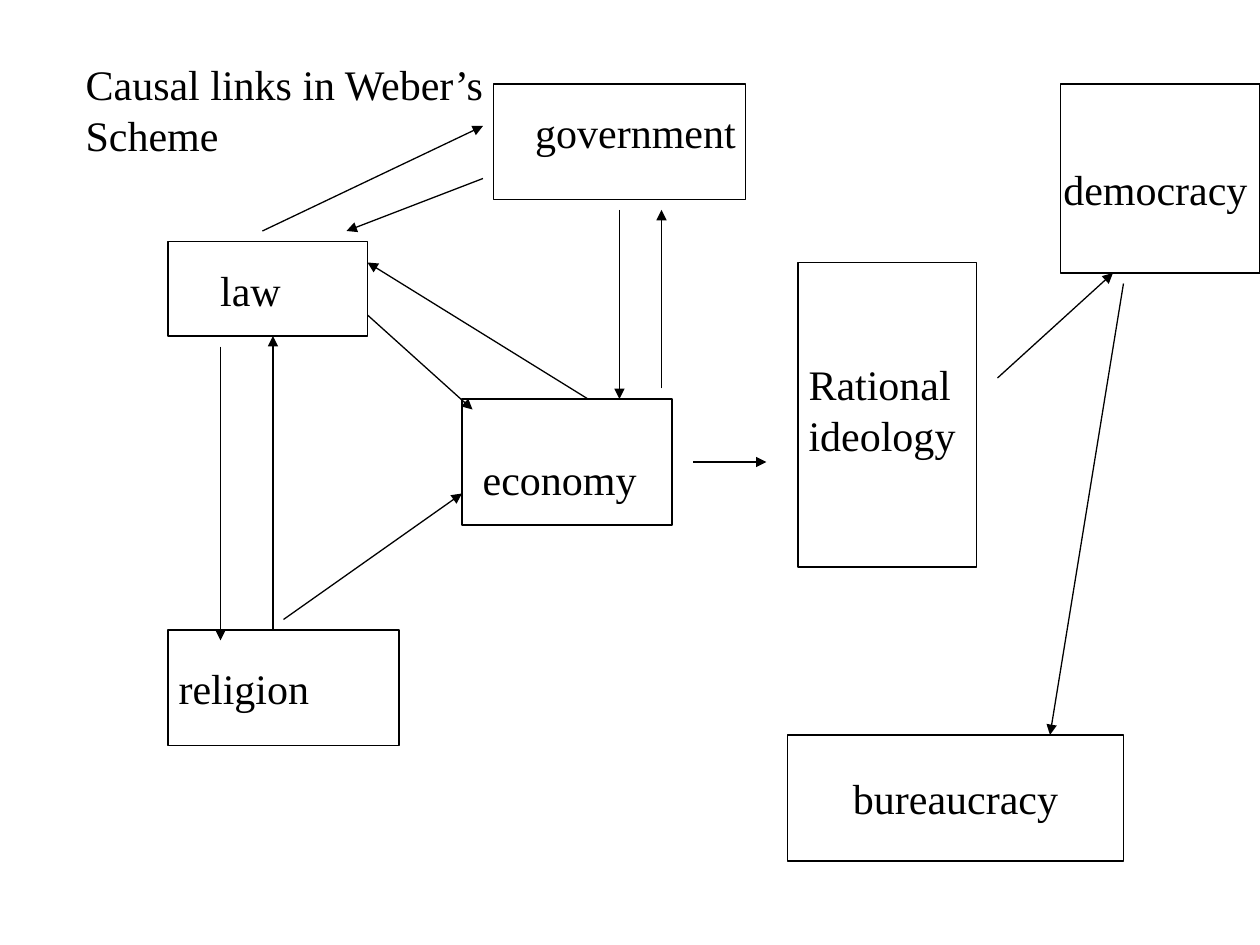
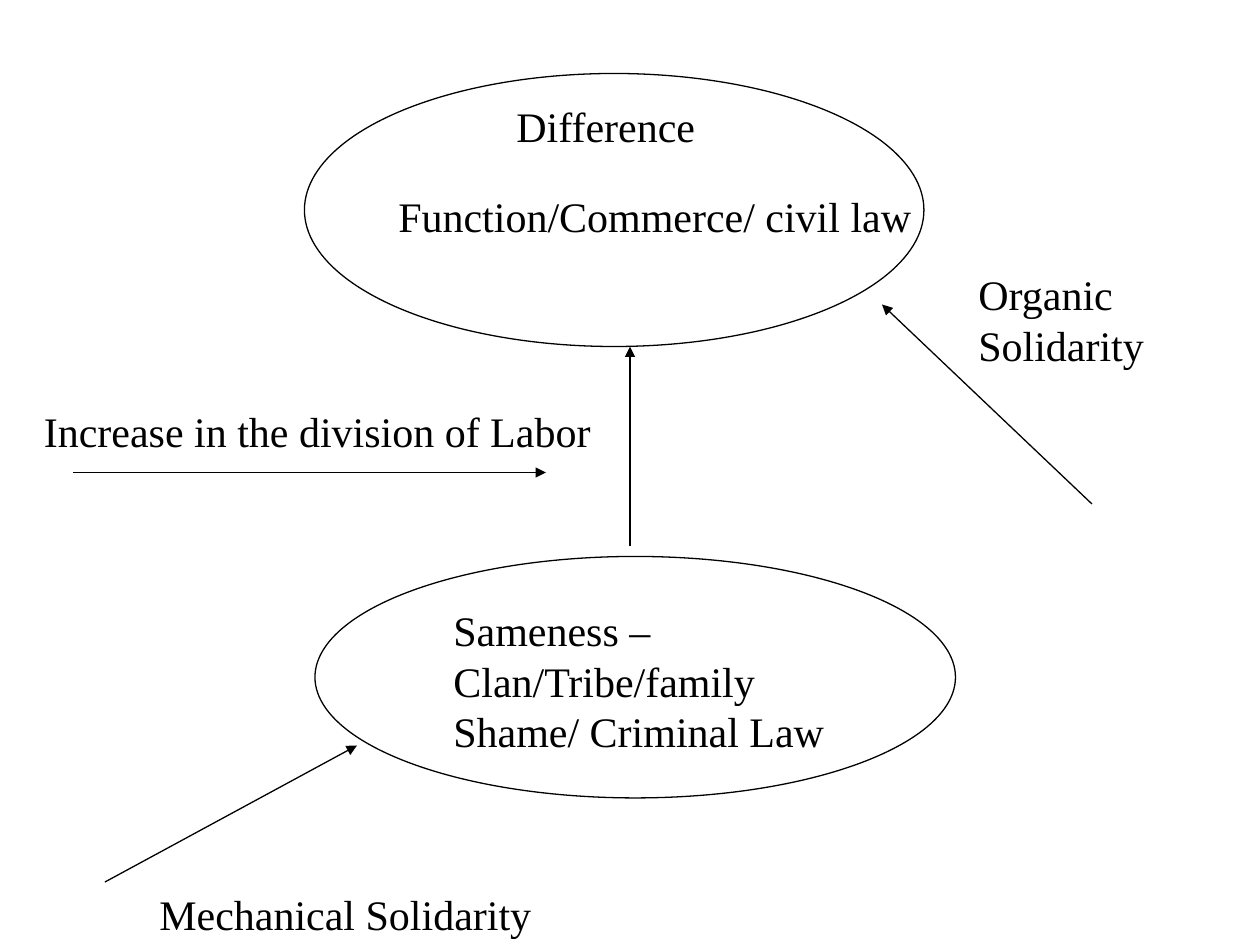
import dataclasses

import lxml.etree
import pptx
import pptx.dml.color
import pptx.enum.shapes
import pptx.enum.text
import pptx.oxml.ns
import pptx.util

Pt = pptx.util.Pt
Shape = pptx.enum.shapes.MSO_SHAPE
Align = pptx.enum.text.PP_ALIGN
Anchor = pptx.enum.text.MSO_ANCHOR
AutoSize = pptx.enum.text.MSO_AUTO_SIZE


@dataclasses.dataclass(frozen=True)
class Theme:
    ink: pptx.dml.color.RGBColor = pptx.dml.color.RGBColor(0, 0, 0)
    font: str = "Times New Roman"
    text_size: float = 24
    line_width: float = 0.75


THEME = Theme()
TITLE_ONLY, BLANK = 5, 6  # layouts of the default template

# Weber's scheme: left, top, width, height in points
FACTOR_BOXES = {
    "law": (96, 138, 114, 54),
    "government": (282, 48, 144, 66),
    "economy": (264, 228, 120, 72),
    "ideology": (456, 150, 102, 174),
    "religion": (96, 360, 132, 66),
    "bureaucracy": (450, 420, 192, 72),
    "democracy": (606, 48, 114, 108),
}
FACTOR_LABELS = [
    ("law", (118.75, 147.5, 50, 36)),
    ("religion", (95, 375.25, 91, 36)),
    ("economy", (268.75, 255.5, 104, 36)),
    ("government", (298.75, 57.5, 130, 36)),
    ("Rational\nideology", (455, 201.5, 100, 65)),
    ("democracy", (600.5, 90, 120, 36)),
]
# Start x, start y, end x, end y
CAUSAL_LINKS = [
    (162, 354, 264, 282),  # religion to economy
    (210, 180, 270, 234),  # law to economy
    (336, 228, 210, 150),  # economy to law
    (126, 198, 126, 366),  # law to religion
    (156, 360, 156, 192),  # religion to law
    (354, 120, 354, 228),  # government to economy
    (378, 222, 378, 120),  # economy to government
    (150, 132, 276, 72),   # law to government
    (276, 102, 198, 132),  # government to law
    (396, 264, 438, 264),  # economy to ideology
    (570, 216, 636, 156),  # ideology to democracy
    (642, 162, 600, 420),  # democracy to bureaucracy
]

# Two kinds of solidarity
SOLIDARITY_OVALS = [(180, 318, 366, 138), (174, 42, 354, 156)]
SOLIDARITY_LABELS = [
    ("Sameness –\nClan/Tribe/family\nShame/ Criminal Law", (252, 342, 229, 94)),
    ("Difference", (288, 54, 118, 36)),
    ("Function/Commerce/ civil law", (220.5, 105.25, 309, 36)),
    ("Increase in the division of Labor", (18, 228, 328, 36)),
]
WRAPPED_LABELS = [
    ("Mechanical Solidarity", (84, 504, 239, 36)),
    ("Organic Solidarity", (552, 150, 120, 65)),
]
SOLIDARITY_ARROWS = [
    (360, 312, 360, 198),  # sameness to difference
    (60, 504, 204, 426),   # mechanical solidarity
    (624, 288, 504, 174),  # organic solidarity
    (42, 270, 312, 270),   # division of labor
]


def points(values):
    return [Pt(value) for value in values]


def write_text(frame, text, align=Align.LEFT, wrap=False):
    frame.text = text
    frame.word_wrap = wrap
    for para in frame.paragraphs:
        para.alignment = align
        para.font.name = THEME.font
        para.font.size = Pt(THEME.text_size)
        para.font.color.rgb = THEME.ink


def style_line(line):
    line.color.rgb = THEME.ink
    line.width = Pt(THEME.line_width)


def add_outline(page, kind, place):
    shape = page.shapes.add_shape(kind, *points(place))
    shape.shadow.inherit = False
    shape.fill.background()
    style_line(shape.line)
    return shape


def add_label(page, text, place, wrap=False):
    box = page.shapes.add_textbox(*points(place))
    write_text(box.text_frame, text, wrap=wrap)
    box.text_frame.auto_size = AutoSize.SHAPE_TO_FIT_TEXT


def add_arrow(page, ends):
    straight = pptx.enum.shapes.MSO_CONNECTOR.STRAIGHT
    arrow = page.shapes.add_connector(straight, *points(ends))
    style_line(arrow.line)
    qn = pptx.oxml.ns.qn
    properties = arrow._element.spPr
    head = lxml.etree.SubElement(properties.find(qn("a:ln")), qn("a:tailEnd"))
    head.set("type", "triangle")
    lxml.etree.SubElement(properties, qn("a:effectLst"))


def set_title(page, text, place):
    title = page.shapes.title
    title.left, title.top, title.width, title.height = points(place)
    write_text(title.text_frame, text)
    title.text_frame.vertical_anchor = Anchor.TOP
    title.text_frame.auto_size = AutoSize.NONE


def build_weber_page(deck):
    page = deck.slides.add_slide(deck.slide_layouts[TITLE_ONLY])
    set_title(page, "Causal links in Weber’s\nScheme", (41.75, 30, 250, 65))
    boxes = {name: add_outline(page, Shape.RECTANGLE, place)
             for name, place in FACTOR_BOXES.items()}
    frame = boxes["bureaucracy"].text_frame
    write_text(frame, "bureaucracy", Align.CENTER)
    frame.vertical_anchor = Anchor.MIDDLE
    for text, place in FACTOR_LABELS:
        add_label(page, text, place)
    for ends in CAUSAL_LINKS:
        add_arrow(page, ends)


def build_solidarity_page(deck):
    page = deck.slides.add_slide(deck.slide_layouts[BLANK])
    for place in SOLIDARITY_OVALS:
        add_outline(page, Shape.OVAL, place)
    for text, place in SOLIDARITY_LABELS:
        add_label(page, text, place)
    for text, place in WRAPPED_LABELS:
        add_label(page, text, place, wrap=True)
    for ends in SOLIDARITY_ARROWS:
        add_arrow(page, ends)


def main():
    deck = pptx.Presentation()
    deck.slide_width, deck.slide_height = Pt(720), Pt(540)
    build_weber_page(deck)
    build_solidarity_page(deck)
    deck.save("out.pptx")


if __name__ == "__main__":
    main()
